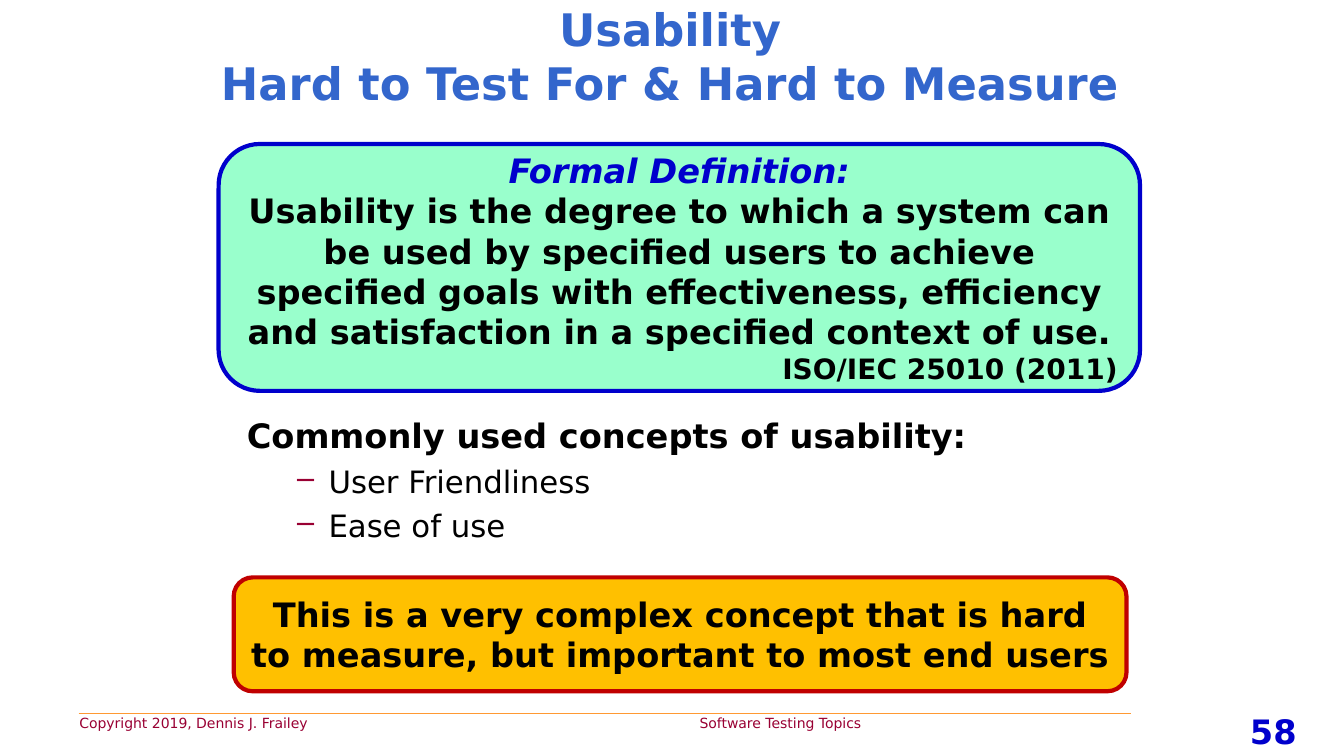
from lxml.etree import SubElement
from pptx import Presentation
from pptx.dml.color import RGBColor
from pptx.enum.shapes import MSO_CONNECTOR, MSO_SHAPE
from pptx.enum.text import MSO_ANCHOR, MSO_AUTO_SIZE, PP_ALIGN
from pptx.oxml.ns import qn
from pptx.util import Cm, Pt

FONT = "DejaVu Sans"
BLACK, BLUE, MAROON = "000000", "0000CC", "990033"
LEFT, CENTER, RIGHT = PP_ALIGN.LEFT, PP_ALIGN.CENTER, PP_ALIGN.RIGHT

TITLE = ("Usability\vHard to Test For & Hard to Measure", CENTER,
         {"size": 32, "bold": True}, "3366CC")
DEFINITION = [
    ("Formal Definition:", CENTER, {"size": 24, "bold": True, "italic": True}, BLUE),
    ("Usability is the degree to which a system can be used by specified users "
     "to achieve specified goals with effectiveness, efficiency and satisfaction "
     "in a specified context of use.", CENTER, {"size": 24, "bold": True}, BLACK),
    ("ISO/IEC 25010 (2011)", RIGHT, {"size": 20, "bold": True}, BLACK),
]
CONCEPTS = [
    ("Commonly used concepts of usability:", LEFT, {"size": 24, "bold": True}, BLACK),
    ("User Friendliness", LEFT, {"size": 22}, BLACK),
    ("Ease of use", LEFT, {"size": 22}, BLACK),
]
CONCLUSION = [
    ("This is a very complex concept that is hard to measure, "
     "but important to most end users", CENTER, {"size": 24, "bold": True}, BLACK),
]
FOOTER = [("Copyright 2019, Dennis J. Frailey\tSoftware Testing Topics", LEFT,
           {"size": 10}, MAROON)]
PAGE_NUMBER = [("58", CENTER, {"size": 24, "bold": True}, BLUE)]

PANELS = [
    (DEFINITION, (5.51, 3.63, 23.22, 6.22), "99FFCC", BLUE),
    (CONCLUSION, (5.89, 14.55, 22.5, 2.87), "FFC000", "C00000"),
]
TEXT_BOXES = {
    "concepts": (CONCEPTS, (5.97, 10.34, 22.73, 3.89)),
    "footer": (FOOTER, (1.75, 17.88, 27.03, 0.69)),
    "page number": (PAGE_NUMBER, (30.3, 17.78, 3.58, 1.27)),
}


def color(value):
    return RGBColor.from_string(value)


def lengths(values):
    return [Cm(value) for value in values]


def format_paragraph(para, line):
    text, alignment, style, ink = line
    para.text = text
    para.alignment = alignment
    for span in para.runs:
        span.font.name = FONT
        span.font.color.rgb = color(ink)
        for name, value in style.items():
            setattr(span.font, name, Pt(value) if name == "size" else value)


def fill_text(frame, lines, anchor=MSO_ANCHOR.TOP):
    frame.word_wrap = True
    frame.auto_size = MSO_AUTO_SIZE.NONE
    frame.vertical_anchor = anchor
    for index, line in enumerate(lines):
        para = frame.add_paragraph() if index else frame.paragraphs[0]
        format_paragraph(para, line)


def add_dash(para):
    properties = para._p.get_or_add_pPr()
    properties.set("marL", str(Cm(2.06)))
    properties.set("indent", str(Cm(-0.79)))
    bullet_color = SubElement(properties, qn("a:buClr"))
    SubElement(bullet_color, qn("a:srgbClr"), val=MAROON)
    SubElement(properties, qn("a:buChar"), char="–")
    para.level = 1
    para.space_before = Pt(5)


def add_tab(para, position):
    tabs = SubElement(para._p.get_or_add_pPr(), qn("a:tabLst"))
    SubElement(tabs, qn("a:tab"), pos=str(Cm(position)), algn="l")


def add_panel(page, lines, place, fill, outline):
    panel = page.shapes.add_shape(MSO_SHAPE.ROUNDED_RECTANGLE, *lengths(place))
    panel.shadow.inherit = False
    panel.fill.solid()
    panel.fill.fore_color.rgb = color(fill)
    panel.line.color.rgb = color(outline)
    panel.line.width = Pt(3)
    fill_text(panel.text_frame, lines, MSO_ANCHOR.MIDDLE)


def add_footer_rule(page):
    rule = page.shapes.add_connector(
        MSO_CONNECTOR.STRAIGHT, *lengths((1.98, 17.98, 28.5, 17.98)))
    rule.line.color.rgb = color("FF9933")
    rule.line.width = Pt(0.75)
    SubElement(rule._element.spPr, qn("a:effectLst"))


def main():
    deck = Presentation()
    deck.slide_width, deck.slide_height = Cm(33.87), Cm(19.05)
    page = deck.slides.add_slide(deck.slide_layouts[5])

    title = page.shapes.title
    title.left, title.top, title.width, title.height = lengths((1.75, 0, 30.28, 2.82))
    fill_text(title.text_frame, [TITLE], MSO_ANCHOR.MIDDLE)

    add_footer_rule(page)
    frames = {}
    for name, (lines, place) in TEXT_BOXES.items():
        box = page.shapes.add_textbox(*lengths(place))
        fill_text(box.text_frame, lines)
        frames[name] = box.text_frame
    for para in frames["concepts"].paragraphs[1:]:
        add_dash(para)
    add_tab(frames["footer"].paragraphs[0], 15.63)

    for panel in PANELS:
        add_panel(page, *panel)
    deck.save("out.pptx")


if __name__ == "__main__":
    main()
